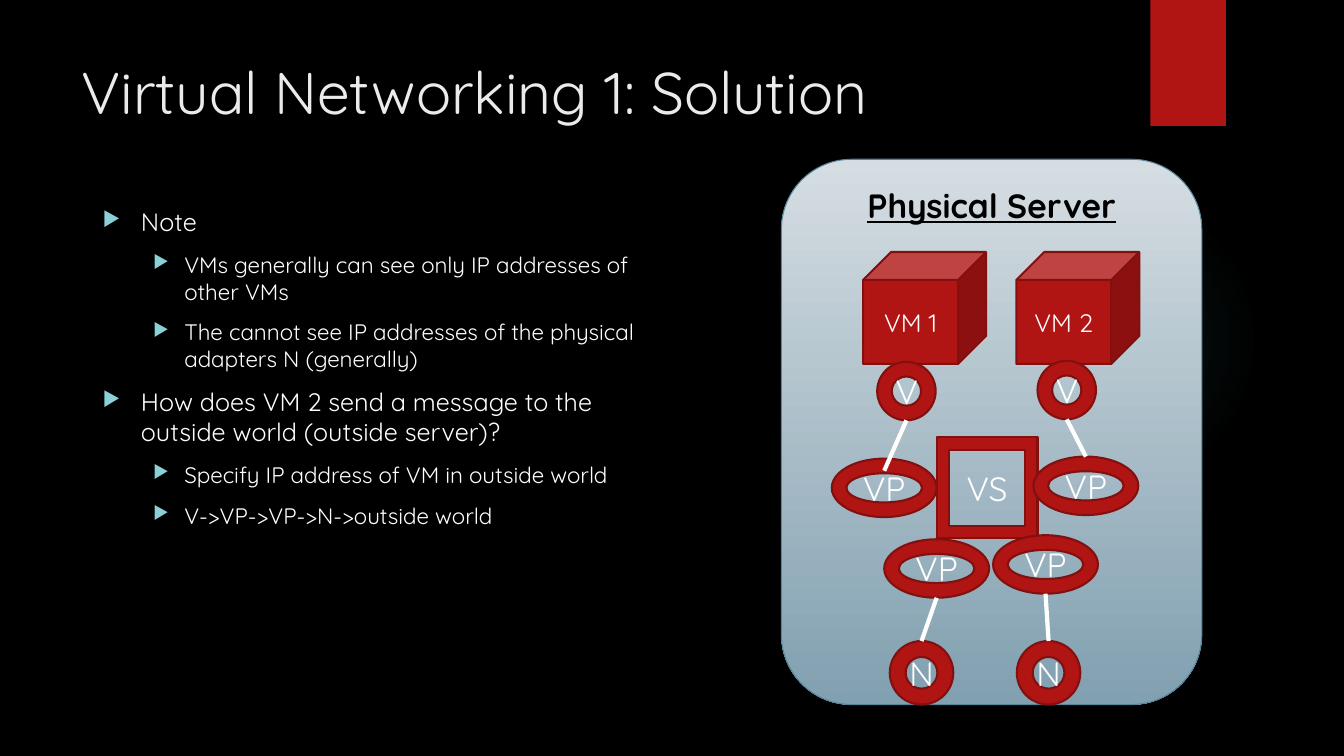
"""Build the Virtual Networking solution slide."""
import pptx
import pptx.util
import pptx.dml.color
import pptx.enum.shapes
import pptx.enum.text
import pptx.oxml.ns
import lxml.etree

WIDTH, HEIGHT = 13.33, 7.5
FONT = "Quicksand"
COLORS = {"back": "000000", "title": "EBEBEB", "white": "FFFFFF", "red": "B01513",
          "dark red": "82100E", "bullet": "8AD0D6", "glow": "50B9C1",
          "panel top": "D5DDE2", "panel bottom": "81A0B0", "panel edge": "54849A"}
TITLE = "Virtual Networking 1: Solution"
POINTS = [
    (0, "Note"),
    (1, "VMs generally can see only IP addresses of other VMs"),
    (1, "The cannot see IP addresses of the physical adapters N (generally)"),
    (0, "How does VM 2 send a message to the outside world (outside server)?"),
    (1, "Specify IP address of VM in outside world"),
    (1, "V->VP->VP->N->outside world"),
]
LEVELS = [{"size": 18, "margin": 0.38, "hang": 0.38},
          {"size": 16, "margin": 0.81, "hang": 0.31}]
KINDS = {
    "vm": ("CUBE", 1.22, 1.11, 18),
    "adapter": ("DONUT", 0.58, 0.58, 24),
    "switch": ("FRAME", 1, 1, 24),
    "port": ("DONUT", 1.04, 0.58, 24),
    "network": ("DONUT", 0.63, 0.63, 24),
}
NODES = {
    "vm 1": ("vm", "VM 1", 9.17, 2.5),
    "vm 2": ("vm", "VM 2", 10.69, 2.5),
    "adapter 1": ("adapter", "V", 8.99, 3.59),
    "switch": ("switch", "VS", 9.79, 4.34),
    "adapter 2": ("adapter", "V", 10.58, 3.58),
    "port 1": ("port", "VP", 8.77, 4.55),
    "port 2": ("port", "VP", 10.77, 4.53),
    "port 3": ("port", "VP", 9.29, 5.35),
    "port 4": ("port", "VP", 10.37, 5.31),
    "network 1": ("network", "N", 9.14, 6.36),
    "network 2": ("network", "N", 10.4, 6.36),
}
LINKS = [("adapter 1", "port 1", 0.12), ("adapter 2", "port 2", 0),
         ("port 3", "network 1", 0), ("port 4", "network 2", 0)]

inch = pptx.util.Inches
qn = pptx.oxml.ns.qn
SHAPES = pptx.enum.shapes.MSO_SHAPE
ALIGN = pptx.enum.text.PP_ALIGN
ANCHOR = pptx.enum.text.MSO_ANCHOR


def rgb(name):
    return pptx.dml.color.RGBColor.from_string(COLORS[name])


def set_font(para, size, color):
    para.font.name = FONT
    para.font.size = pptx.util.Pt(size)
    para.font.color.rgb = rgb(color)


def add_shape(page, kind, left, top, width, height, fill=None, edge=None, weight=1.5):
    shape = page.shapes.add_shape(getattr(SHAPES, kind), inch(left), inch(top),
                                  inch(width), inch(height))
    shape.shadow.inherit = False
    if fill:
        shape.fill.solid()
        shape.fill.fore_color.rgb = rgb(fill)
    if edge:
        shape.line.color.rgb = rgb(edge)
        shape.line.width = pptx.util.Pt(weight)
    else:
        shape.line.fill.background()
    return shape


def label(shape, text, size, color, anchor):
    shape.text_frame.vertical_anchor = anchor
    para = shape.text_frame.paragraphs[0]
    para.text = text
    para.alignment = ALIGN.CENTER
    set_font(para, size, color)
    return para


def add_text_box(page, left, top, width, height):
    box = page.shapes.add_textbox(inch(left), inch(top), inch(width), inch(height))
    box.text_frame.word_wrap = True
    return box.text_frame


def add_glow(page):
    glow = add_shape(page, "OVAL", 9.41, 1.83, 3.08, 3.08)
    gradient = lxml.etree.Element(qn("a:gradFill"))
    stops = lxml.etree.SubElement(gradient, qn("a:gsLst"))
    for position, alpha in [(0, 7), (36, 6), (69, 0)]:
        stop = lxml.etree.SubElement(stops, qn("a:gs"), pos=str(position * 1000))
        tint = lxml.etree.SubElement(stop, qn("a:srgbClr"), val=COLORS["glow"])
        lxml.etree.SubElement(tint, qn("a:alpha"), val=str(alpha * 1000))
    route = lxml.etree.SubElement(gradient, qn("a:path"), path="circle")
    lxml.etree.SubElement(route, qn("a:fillToRect"),
                          {side: "50000" for side in "ltrb"})
    glow._element.spPr.find(qn("a:prstGeom")).addnext(gradient)


def add_server(page):
    server = add_shape(page, "ROUNDED_RECTANGLE", 7.75, 1.58, 4.17, 5.41,
                       edge="panel edge", weight=0.75)
    server.fill.gradient()
    server.fill.gradient_angle = 270
    for stop, name in zip(server.fill.gradient_stops, ["panel top", "panel bottom"]):
        stop.color.rgb = rgb(name)
    para = label(server, "Physical Server", 24, "back", ANCHOR.TOP)
    para.font.bold = True
    para.font.underline = True


def add_points(page):
    frame = add_text_box(page, 0.92, 2, 5.85, 4.76)
    for index, (level, text) in enumerate(POINTS):
        para = frame.add_paragraph() if index else frame.paragraphs[0]
        para.text = text
        para.level = level
        para.space_before = pptx.util.Pt(10)
        style = LEVELS[level]
        set_font(para, style["size"], "white")
        settings = para._p.get_or_add_pPr()
        settings.set("marL", str(inch(style["margin"])))
        settings.set("indent", str(-inch(style["hang"])))
        bullet = [lxml.etree.Element(qn("a:buClr")),
                  lxml.etree.Element(qn("a:buSzPct"), val="80000"),
                  lxml.etree.Element(qn("a:buChar"), char="▶")]
        lxml.etree.SubElement(bullet[0], qn("a:srgbClr"), val=COLORS["bullet"])
        for offset, part in enumerate(bullet):
            settings.insert(1 + offset, part)


def add_link(page, source, target, overlap):
    kind, _, start_x, start_top = NODES[source]
    _, _, end_x, end_top = NODES[target]
    start_y = start_top + KINDS[kind][2]
    link = page.shapes.add_connector(pptx.enum.shapes.MSO_CONNECTOR.STRAIGHT,
                                     inch(start_x), inch(start_y),
                                     inch(end_x), inch(end_top + overlap))
    link.line.color.rgb = rgb("white")
    link.line.width = pptx.util.Pt(3)
    lxml.etree.SubElement(link._element.spPr, qn("a:effectLst"))


def main():
    deck = pptx.Presentation()
    deck.slide_width, deck.slide_height = inch(WIDTH), inch(HEIGHT)
    page = deck.slides.add_slide(deck.slide_layouts[6])
    page.background.fill.solid()
    page.background.fill.fore_color.rgb = rgb("back")
    add_glow(page)
    add_shape(page, "RECTANGLE", 11.41, 0, 0.75, HEIGHT / 6, "red")
    add_server(page)
    title = add_text_box(page, 0.71, 0.5, 10.29, 1.53).paragraphs[0]
    title.text = TITLE
    set_font(title, 42, "title")
    add_points(page)
    for kind, text, center, top in NODES.values():
        preset, width, height, size = KINDS[kind]
        node = add_shape(page, preset, center - width / 2, top, width, height,
                         "red", "dark red")
        label(node, text, size, "white", ANCHOR.MIDDLE)
    for source, target, overlap in LINKS:
        add_link(page, source, target, overlap)
    deck.save("out.pptx")


if __name__ == "__main__":
    main()
